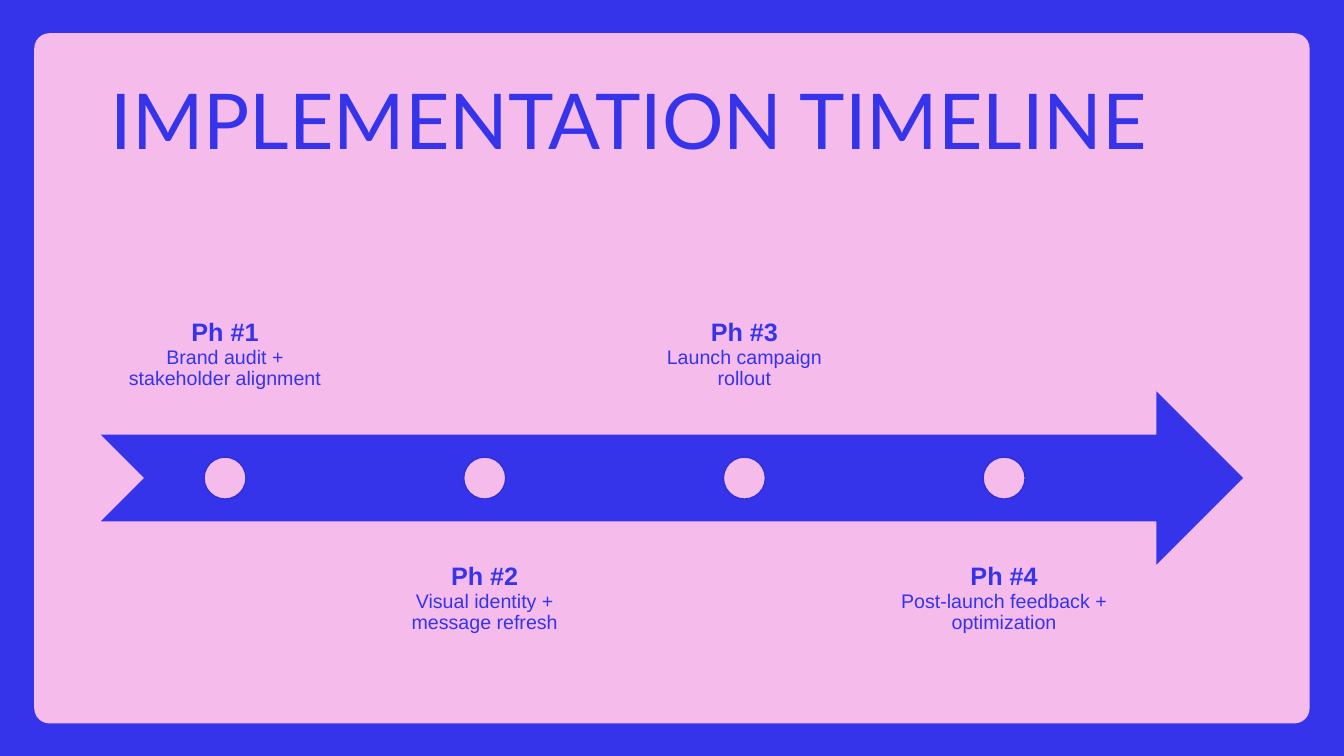
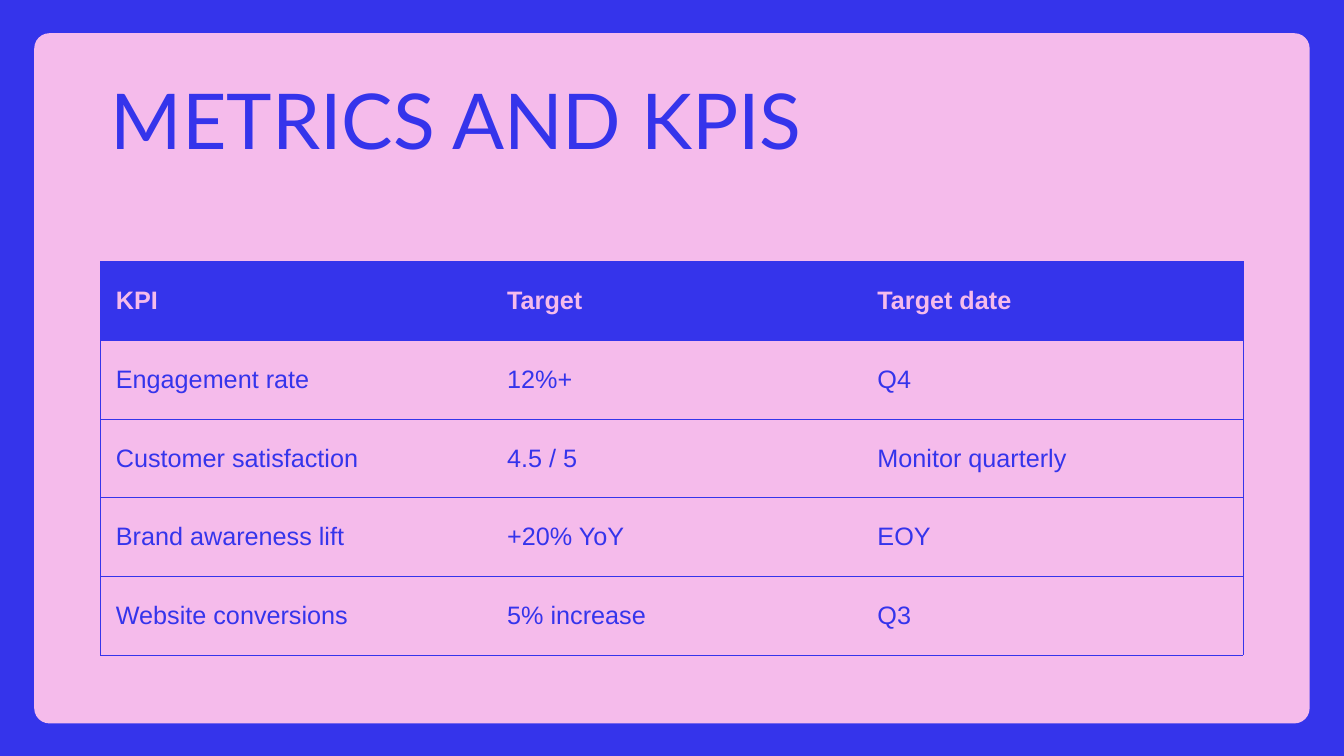
from lxml import etree
from pptx import Presentation
from pptx.dml.color import RGBColor
from pptx.enum.shapes import MSO_SHAPE
from pptx.enum.text import MSO_ANCHOR, PP_ALIGN
from pptx.oxml.ns import qn
from pptx.util import Pt

ROUND = MSO_SHAPE.ROUNDED_RECTANGLE
ARROW = MSO_SHAPE.NOTCHED_RIGHT_ARROW
OVAL = MSO_SHAPE.OVAL
TOP, MIDDLE = MSO_ANCHOR.TOP, MSO_ANCHOR.MIDDLE
LEFT, CENTER = PP_ALIGN.LEFT, PP_ALIGN.CENTER

BLUE, PINK, RIM = "3534EB", "F5BBEB", "302FD5"
HEAD, BODY = "Lato", "Arial"
EDGE, WIDTH = 72, 816
TITLE_ONLY = 5

PHASES = [
    ("Ph #1", "Brand audit + stakeholder alignment"),
    ("Ph #2", "Visual identity + message refresh"),
    ("Ph #3", "Launch campaign rollout"),
    ("Ph #4", "Post-launch feedback + optimization"),
]
KPIS = [
    ("KPI", "Target", "Target date"),
    ("Engagement rate", "12%+", "Q4"),
    ("Customer satisfaction", "4.5 / 5", "Monitor quarterly"),
    ("Brand awareness lift", "+20% YoY", "EOY"),
    ("Website conversions", "5% increase", "Q3"),
]


def color(code):
    return RGBColor.from_string(code)


def paint(fill, code):
    fill.solid()
    fill.fore_color.rgb = color(code)


def write(para, text, size=18, font=BODY, code=BLUE, bold=False,
          align=LEFT, lead=1.0):
    para.text = text
    para.alignment = align
    para.line_spacing = lead
    style = para.font
    style.size, style.name, style.bold = Pt(size), font, bold
    style.color.rgb = color(code)


def pad(frame, left, top):
    frame.margin_left = frame.margin_right = Pt(left)
    frame.margin_top = frame.margin_bottom = Pt(top)


def add_form(slide, kind, box, fill, line=None):
    form = slide.shapes.add_shape(kind, *map(Pt, box))
    form.shadow.inherit = False
    paint(form.fill, fill)
    if line:
        form.line.color.rgb = color(line)
        form.line.width = Pt(1)
    else:
        form.line.fill.background()
    return form


def add_page(deck, text):
    """Add a slide with the blue frame, the pink panel and a title."""
    slide = deck.slides.add_slide(deck.slide_layouts[TITLE_ONLY])
    paint(slide.background.fill, BLUE)
    panel = add_form(slide, ROUND, (24.5, 23.75, 911, 493), PINK)
    panel.adjustments[0] = 0.022
    title = slide.shapes.title
    title.element.addprevious(panel.element)
    title.left, title.top = Pt(EDGE), Pt(66)
    title.width, title.height = Pt(WIDTH), Pt(96.5)
    frame = title.text_frame
    frame.vertical_anchor = TOP
    pad(frame, 7.2, 3.6)
    write(frame.paragraphs[0], text, size=55, font=HEAD, lead=0.7)
    return slide


def add_phase(slide, mid, top, name, task):
    wide = 150
    box = slide.shapes.add_textbox(Pt(mid - wide / 2), Pt(top),
                                   Pt(wide), Pt(50))
    frame = box.text_frame
    frame.word_wrap = True
    pad(frame, 0, 0)
    write(frame.paragraphs[0], name, bold=True, align=CENTER, lead=0.9)
    write(frame.add_paragraph(), task, size=14, align=CENTER, lead=0.9)


def add_line(slide):
    """Draw the arrow with a dot and a label for each phase."""
    axis, tall, dot = 341.5, 124, 30
    first, step = 160.75, 185.5
    add_form(slide, ARROW, (EDGE, axis - tall / 2, WIDTH, tall), BLUE)
    for i, (name, task) in enumerate(PHASES):
        mid = first + i * step
        add_form(slide, OVAL, (mid - dot / 2, axis - dot / 2, dot, dot),
                 PINK, RIM)
        add_phase(slide, mid, 403 if i % 2 else 228.5, name, task)


def set_edge(cell, side, code=None):
    props = cell._tc.get_or_add_tcPr()
    edge = etree.SubElement(props, qn("a:ln" + side), w=str(Pt(0.5)))
    if code:
        fill = etree.SubElement(edge, qn("a:solidFill"))
        etree.SubElement(fill, qn("a:srgbClr"), val=code)
    else:
        etree.SubElement(edge, qn("a:noFill"))


def add_grid(slide, rows, widths, top, tall):
    last = len(widths) - 1
    shape = slide.shapes.add_table(len(rows), len(widths), Pt(EDGE), Pt(top),
                                   Pt(WIDTH), Pt(tall * len(rows)))
    table = shape.table
    for col, wide in zip(table.columns, widths):
        col.width = Pt(wide)
    for r, row in enumerate(rows):
        table.rows[r].height = Pt(tall)
        head = r == 0
        for c, text in enumerate(row):
            cell = table.cell(r, c)
            cell.vertical_anchor = MIDDLE
            pad(cell, 10.8, 10.8)
            set_edge(cell, "L", BLUE if c == 0 else None)
            set_edge(cell, "R", BLUE if c == last else None)
            set_edge(cell, "T", BLUE)
            set_edge(cell, "B", BLUE)
            paint(cell.fill, BLUE if head else PINK)
            write(cell.text_frame.paragraphs[0], text,
                  code=PINK if head else BLUE, bold=head)


def main():
    deck = Presentation()
    deck.slide_width, deck.slide_height = Pt(960), Pt(540)
    add_line(add_page(deck, "IMPLEMENTATION TIMELINE"))
    add_grid(add_page(deck, "METRICS AND KPIS"), KPIS,
             widths=(279.5, 264.5, 272), top=186.75, tall=56.25)
    deck.save("out.pptx")


if __name__ == "__main__":
    main()
